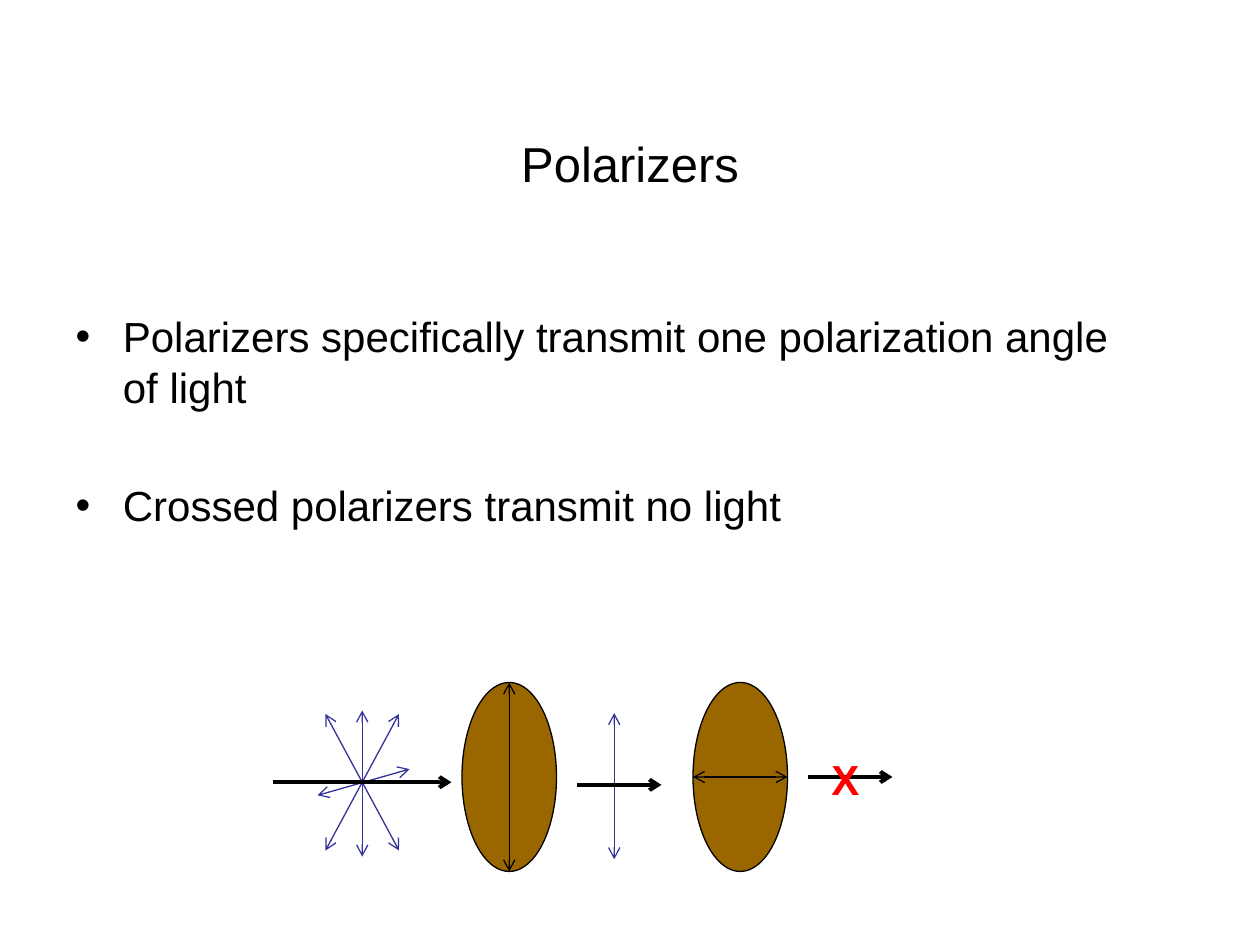
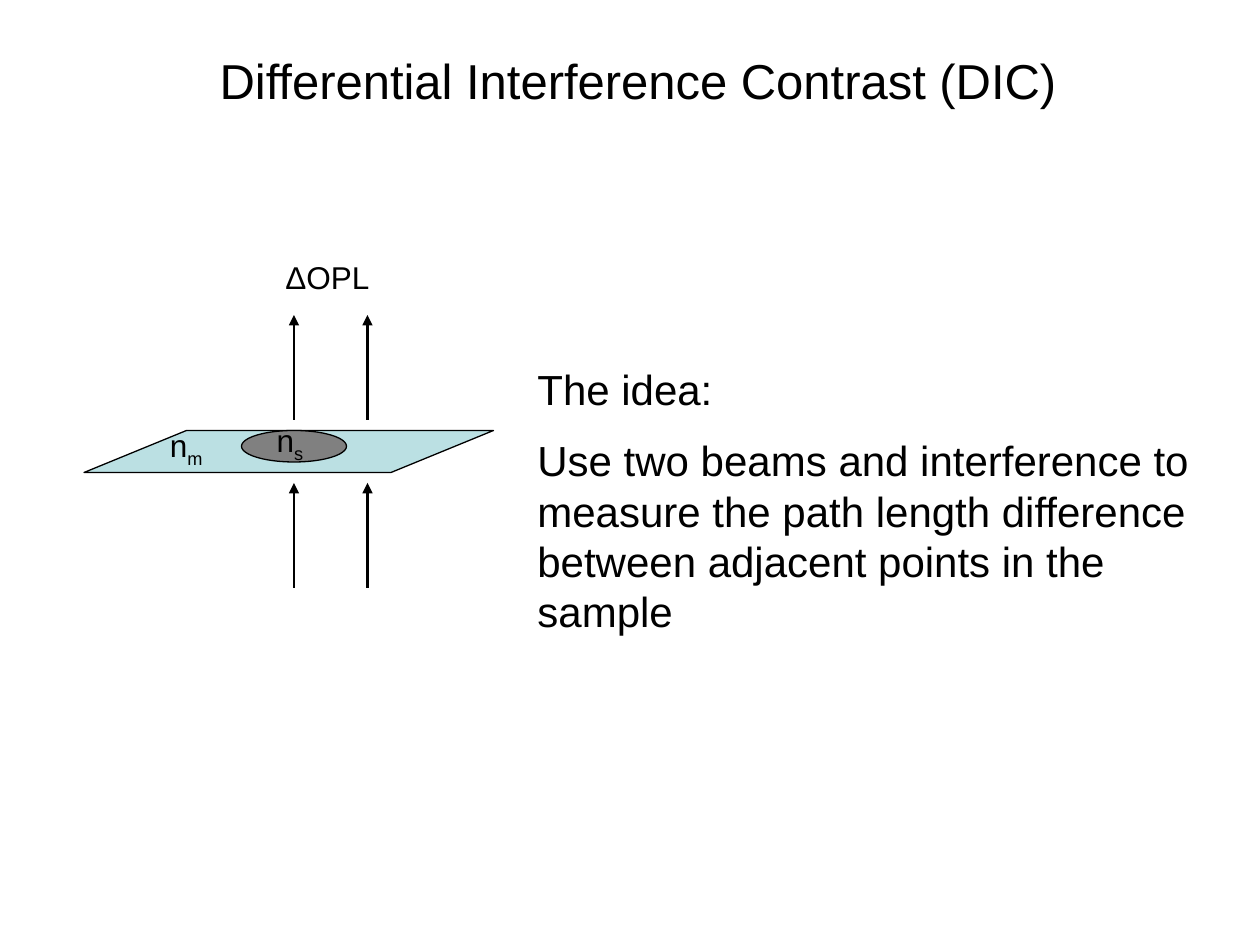
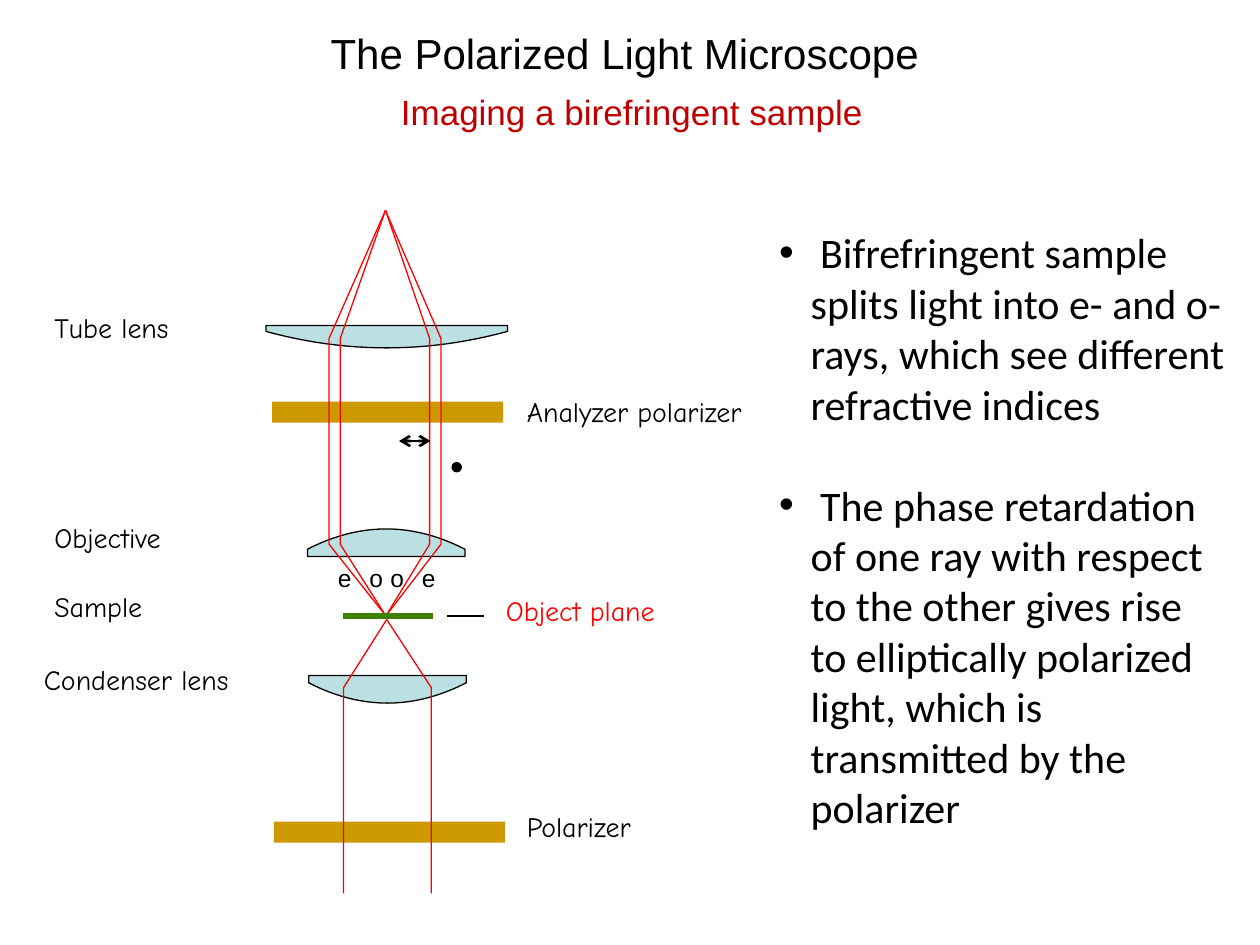
from lxml import etree
from pptx import Presentation
from pptx.dml.color import RGBColor
from pptx.enum import shapes, text
from pptx.oxml.ns import qn
from pptx.util import Pt

BLACK, RED, BLUE = "000000", "FF0000", "333399"
BROWN, GOLD, GREEN, GLASS, GRAY = "996600", "CC9900", "408000", "BBE0E3", "808080"
COMIC = "Comic Neue"
CENTER = text.PP_ALIGN.CENTER
OVAL = shapes.MSO_SHAPE.OVAL
BAND = shapes.MSO_SHAPE.RECTANGLE


def rgb(value):
    return RGBColor.from_string(value)


def write(frame, words, size=24, font="Arial", color=BLACK, bold=False,
          align=None, gap=0, spacing=None, indent=None, wrap=True):
    frame.word_wrap = wrap
    frame.auto_size = text.MSO_AUTO_SIZE.NONE
    for index, line in enumerate(words.split("\n")):
        paragraph = frame.add_paragraph() if index else frame.paragraphs[0]
        if indent:
            properties = paragraph._p.get_or_add_pPr()
            properties.set("marL", str(Pt(indent)))
            properties.set("indent", str(-Pt(indent)))
        paragraph.alignment = align
        paragraph.space_before = Pt(gap if index else 0)
        if spacing:
            paragraph.line_spacing = spacing
        base, _, subscript = line.partition("_")
        for part in filter(None, (base, subscript)):
            run = paragraph.add_run()
            run.text = part
            run.font.size, run.font.name, run.font.bold = Pt(size), font, bold
            run.font.color.rgb = rgb(color)
        if subscript:
            run._r.get_or_add_rPr().set("baseline", "-25000")


prs = Presentation()
prs.slide_width, prs.slide_height = Pt(720), Pt(540)
polarizers, dic, microscope = [
    prs.slides.add_slide(prs.slide_layouts[layout]) for layout in (1, 5, 1)]

titles = [
    (polarizers, (54, 48, 612, 90), "Polarizers", 28),
    (dic, (60, 25, 609, 41), "Differential Interference Contrast (DIC)", 28),
    (microscope, (48, 0, 618, 60), "The Polarized Light Microscope", 24),
]
for slide, box, words, size in titles:
    title = slide.shapes.title
    title.left, title.top, title.width, title.height = map(Pt, box)
    write(title.text_frame, words, size=size, align=CENTER)

lists = [
    (polarizers, (36, 174, 630, 324),
     "Polarizers specifically transmit one polarization angle of light\n"
     "Crossed polarizers transmit no light",
     dict(gap=39, indent=27)),
    (microscope, (438, 126, 270, 327),
     " Bifrefringent sample splits light into e- and o- rays, "
     "which see different refractive indices\n"
     " The phase retardation of one ray with respect to the other gives rise to "
     "elliptically polarized light, which is transmitted by the polarizer",
     dict(gap=29, indent=18, font="Calibri")),
]
for slide, box, words, style in lists:
    body = slide.placeholders[1]
    body.left, body.top, body.width, body.height = map(Pt, box)
    write(body.text_frame, words, **style)

solids = [
    (polarizers, OVAL, (264, 390, 54, 108), BROWN, True),
    (polarizers, OVAL, (396, 390, 54, 108), BROWN, True),
    (dic, shapes.MSO_SHAPE.PARALLELOGRAM, (48, 246, 234, 24), GLASS, True),
    (dic, OVAL, (138, 246, 60, 18), GRAY, True),
    (microscope, BAND, (155.5, 229.5, 132, 12), GOLD, False),
    (microscope, BAND, (156.5, 469.5, 132, 12), GOLD, False),
    (microscope, OVAL, (258, 264, 6, 6), BLACK, False),
]
for slide, preset, box, fill, outlined in solids:
    solid = slide.shapes.add_shape(preset, *map(Pt, box))
    solid.shadow.inherit = False
    solid.fill.solid()
    solid.fill.fore_color.rgb = rgb(fill)
    if outlined:
        solid.line.color.rgb = rgb(BLACK)
        solid.line.width = Pt(0.75)
    else:
        solid.line.fill.background()
    if preset == shapes.MSO_SHAPE.PARALLELOGRAM:
        solid.adjustments[0] = 2.44

outlines = []
STEPS = 24
for left, right, flat, edge, bulge in [
    (152, 290, 186, 189.4, 9.4),
    (175.7, 265.7, 318, 313.9, -11.6),
    (176.4, 266.4, 386, 390.2, 11.6),
]:
    curve = [(right - (right - left) * step / STEPS,
              edge + bulge * (1 - (2 * step / STEPS - 1) ** 2))
             for step in range(STEPS + 1)]
    outlines.append(([(left, flat), (right, flat)] + curve, GLASS, BLACK))
for ray in (188, 194.4, 245.5, 252):
    outlines.append(([(220.5, 352), (ray, 311), (ray, 193.5), (220.3, 120.2)], None, RED))
for ray in (196.3, 246.5):
    outlines.append(([(221, 354), (ray, 393), (ray, 510.5)], None, RED))

for points, fill, color in outlines:
    (x, y), *rest = points
    builder = microscope.shapes.build_freeform(Pt(x), Pt(y))
    builder.add_line_segments([(Pt(x), Pt(y)) for x, y in rest], close=bool(fill))
    outline = builder.convert_to_shape()
    outline.shadow.inherit = False
    if fill:
        outline.fill.solid()
        outline.fill.fore_color.rgb = rgb(fill)
    else:
        outline.fill.background()
    outline.line.color.rgb = rgb(color)
    outline.line.width = Pt(0.75)

lines = [
    (polarizers, (186, 408, 228, 486), BLUE, 0.75, "arrow", "arrow"),
    (polarizers, (207, 406, 207, 489.5), BLUE, 0.75, "arrow", "arrow"),
    (polarizers, (228, 408, 186, 486), BLUE, 0.75, "arrow", "arrow"),
    (polarizers, (181.5, 454.5, 234, 439.5), BLUE, 0.75, "arrow", "arrow"),
    (polarizers, (351, 407.5, 351, 491), BLUE, 0.75, "arrow", "arrow"),
    (polarizers, (291, 390, 291, 498), BLACK, 0.75, "arrow", "arrow"),
    (polarizers, (396, 444, 450, 444), BLACK, 0.75, "arrow", "arrow"),
    (polarizers, (156, 447, 258, 447), BLACK, 2.25, None, "arrow"),
    (polarizers, (330, 448.5, 378, 448.5), BLACK, 2.25, None, "arrow"),
    (polarizers, (462, 444, 510, 444), BLACK, 2.25, None, "arrow"),
    (microscope, (196, 352, 247.7, 352), GREEN, 3, None, None),
    (microscope, (255.5, 352, 276.5, 352), BLACK, 0.75, None, None),
    (microscope, (246, 252, 228, 252), BLACK, 1.5, "arrow", "arrow"),
]
for beam in (168, 210):
    for start in (336, 240):
        lines.append((dic, (beam, start, beam, start - 60), BLACK, 1.5, None, "triangle"))

for slide, ends, color, width, head, tail in lines:
    line = slide.shapes.add_connector(shapes.MSO_CONNECTOR.STRAIGHT, *map(Pt, ends))
    line.line.color.rgb = rgb(color)
    line.line.width = Pt(width)
    for tag, kind in (("a:headEnd", head), ("a:tailEnd", tail)):
        if kind:
            etree.SubElement(line.line._get_or_add_ln(), qn(tag), type=kind)
    etree.SubElement(line._element.spPr, qn("a:effectLst"))

comic = dict(size=16, font=COMIC)
tight = dict(comic, spacing=0.8)
index_style = dict(size=18, wrap=False)
labels = [
    (polarizers, (468, 427, 31, 36), "X", dict(color=RED, bold=True, wrap=False)),
    (dic, (300, 204, 408, 167),
     "The idea:\nUse two beams and interference to measure the path length difference "
     "between adjacent points in the sample", dict(gap=12)),
    (dic, (156, 144, 72, 29), "ΔOPL", dict(size=18)),
    (dic, (151, 237, 30, 29), "n_s", index_style),
    (dic, (90, 240, 34.5, 29), "n_m", index_style),
    (microscope, (222, 48, 280, 32), "Imaging a birefringent sample",
     dict(size=20, color="C00000", wrap=False)),
    (microscope, (24, 174, 108, 27), "Tube lens", comic),
    (microscope, (24, 294, 102, 27), "Objective", comic),
    (microscope, (24, 333.5, 92, 27), "Sample", comic),
    (microscope, (18, 375, 162, 27), "Condenser lens", comic),
    (microscope, (282, 335.5, 120, 27), "Object plane", dict(comic, color=RED)),
    (microscope, (294, 225.5, 212, 23), "Analyzer polarizer", tight),
    (microscope, (294, 463, 120, 23), "Polarizer", tight),
]
for ray, left in zip("eooe", (186, 204, 216, 234)):
    labels.append((microscope, (left, 318, 22, 24.5), ray, dict(size=14, wrap=False)))

for slide, box, words, style in labels:
    write(slide.shapes.add_textbox(*map(Pt, box)).text_frame, words, **style)

prs.save("out.pptx")
